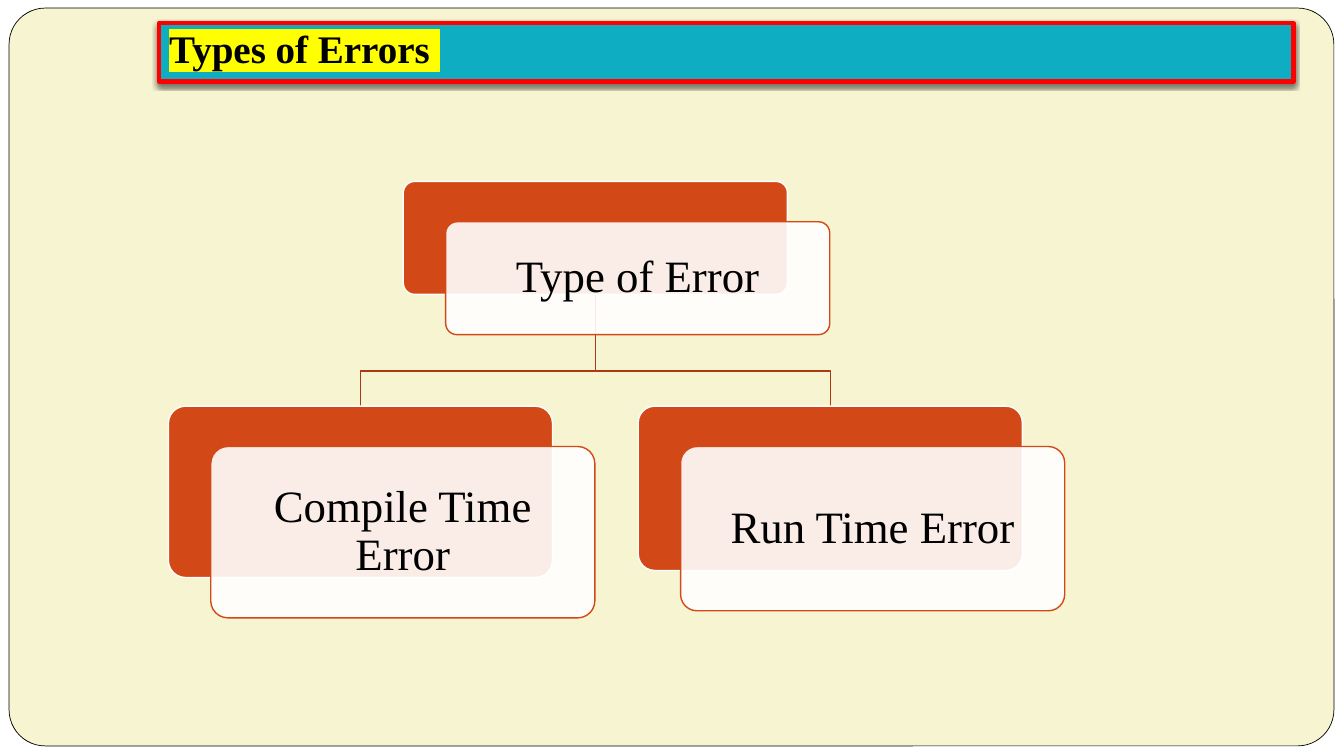
import dataclasses

import lxml.etree
import pptx
import pptx.dml.color
import pptx.enum.shapes
import pptx.enum.text
import pptx.oxml.ns
import pptx.util

Inches = pptx.util.Inches
Pt = pptx.util.Pt
RGB = pptx.dml.color.RGBColor.from_string
qn = pptx.oxml.ns.qn
SHAPE = pptx.enum.shapes.MSO_SHAPE
ALIGN = pptx.enum.text.PP_ALIGN
ANCHOR = pptx.enum.text.MSO_ANCHOR


@dataclasses.dataclass(frozen=True)
class Theme:
    font: str = "Times New Roman"
    black: str = "000000"
    white: str = "FFFFFF"
    cream: str = "F7F4D1"
    teal: str = "0EADC2"
    red: str = "FF0000"
    yellow: str = "FFFF00"
    orange: str = "D34817"
    rust: str = "A93A12"
    title_size: float = 27.9
    node_size: float = 32


THEME = Theme()
NODE_WIDTH = 3.81
OFFSET_X, OFFSET_Y = 0.42, 0.4


def add_color(parent, tag, color, alpha=None):
    holder = lxml.etree.SubElement(parent, qn(tag))
    clr = lxml.etree.SubElement(holder, qn("a:srgbClr"), val=color)
    if alpha is not None:
        lxml.etree.SubElement(clr, qn("a:alpha"), val=str(alpha * 1000))
    return holder


def add_box(s, kind, left, top, width, height, fill, line, weight, radius=None, alpha=None):
    sp = s.shapes.add_shape(kind, Inches(left), Inches(top), Inches(width), Inches(height))
    sp.shadow.inherit = False
    sp.fill.solid()
    sp.fill.fore_color.rgb = RGB(fill)
    sp.line.color.rgb = RGB(line)
    sp.line.width = Pt(weight)
    if radius is not None:
        sp.adjustments[0] = radius
    if alpha is not None:
        clr = sp.fill._xPr.find(qn("a:solidFill")).find(qn("a:srgbClr"))
        lxml.etree.SubElement(clr, qn("a:alpha"), val=str(alpha * 1000))
    return sp


def add_shadow(sp, color, alpha, blur, distance):
    effects = sp._element.spPr.find(qn("a:effectLst"))
    shadow = add_color(effects, "a:outerShdw", color, alpha)
    shadow.set("blurRad", str(Pt(blur)))
    shadow.set("dist", str(Pt(distance)))
    shadow.set("dir", str(90 * 60000))


def set_text(sp, text, *, size, align, anchor, insets, bold=False, spacing=None, highlight=None):
    tf = sp.text_frame
    tf.word_wrap = True
    tf.vertical_anchor = anchor
    tf.margin_left, tf.margin_top, tf.margin_right, tf.margin_bottom = map(Inches, insets)
    p = tf.paragraphs[0]
    p.alignment = align
    p.line_spacing = spacing
    r = p.add_run()
    r.text = text
    r.font.size = Pt(size)
    r.font.bold = bold
    r.font.color.rgb = RGB(THEME.black)
    if highlight:
        add_color(r.font._element, "a:highlight", highlight)
    r.font.name = THEME.font


def add_title(s, text):
    sp = add_box(s, SHAPE.RECTANGLE, 1.58, 0.23, 11.25, 0.58, THEME.teal, THEME.red, 3)
    add_shadow(sp, THEME.black, 50, 3, 2)
    set_text(sp, text, size=THEME.title_size, align=ALIGN.LEFT, anchor=ANCHOR.BOTTOM,
             insets=(0.1, 0.05, 0.1, 0.1), bold=True, highlight=THEME.yellow)


def add_branch(s, parent, child, bend):
    (x1, y1), (x2, y2) = parent, child
    points = [(x1, y1), (x1, bend), (x2, bend), (x2, y2)]
    start, *rest = [(Inches(x), Inches(y)) for x, y in points]
    builder = s.shapes.build_freeform(*start, scale=1.0)
    builder.add_line_segments(rest, close=False)
    sp = builder.convert_to_shape()
    sp.shadow.inherit = False
    sp.fill.background()
    sp.line.color.rgb = RGB(THEME.rust)
    sp.line.width = Pt(1)


def add_node(s, text, left, top, height):
    add_box(s, SHAPE.ROUNDED_RECTANGLE, left, top, NODE_WIDTH, height,
            THEME.orange, THEME.white, 1, radius=0.1)
    card = add_box(s, SHAPE.ROUNDED_RECTANGLE, left + OFFSET_X, top + OFFSET_Y, NODE_WIDTH, height,
                   THEME.white, THEME.orange, 1, radius=0.1, alpha=90)
    set_text(card, text, size=THEME.node_size, align=ALIGN.CENTER, anchor=ANCHOR.MIDDLE,
             insets=(0.16,) * 4, spacing=0.9)


def main():
    prs = pptx.Presentation()
    prs.slide_width, prs.slide_height = Inches(13.33), Inches(7.5)
    s = prs.slides.add_slide(prs.slide_layouts[6])
    s.background.fill.solid()
    s.background.fill.fore_color.rgb = RGB(THEME.white)
    add_box(s, SHAPE.ROUNDED_RECTANGLE, 0.09, 0.08, 13.14, 7.32,
            THEME.cream, THEME.black, 0.5, radius=0.049)
    add_title(s, "Types of Errors ")

    root = ("Type of Error", 4, 1.8, 1.12)
    children = [("Run Time Error", 6.33, 4.03, 1.63), ("Compile Time Error", 1.67, 4.03, 1.7)]
    middle = NODE_WIDTH / 2
    for _, left, top, _ in children:
        add_branch(s, (root[1] + middle, root[2] + root[3]), (left + middle, top), 3.68)
    for node in [root, *reversed(children)]:
        add_node(s, *node)
    prs.save("out.pptx")


if __name__ == "__main__":
    main()
